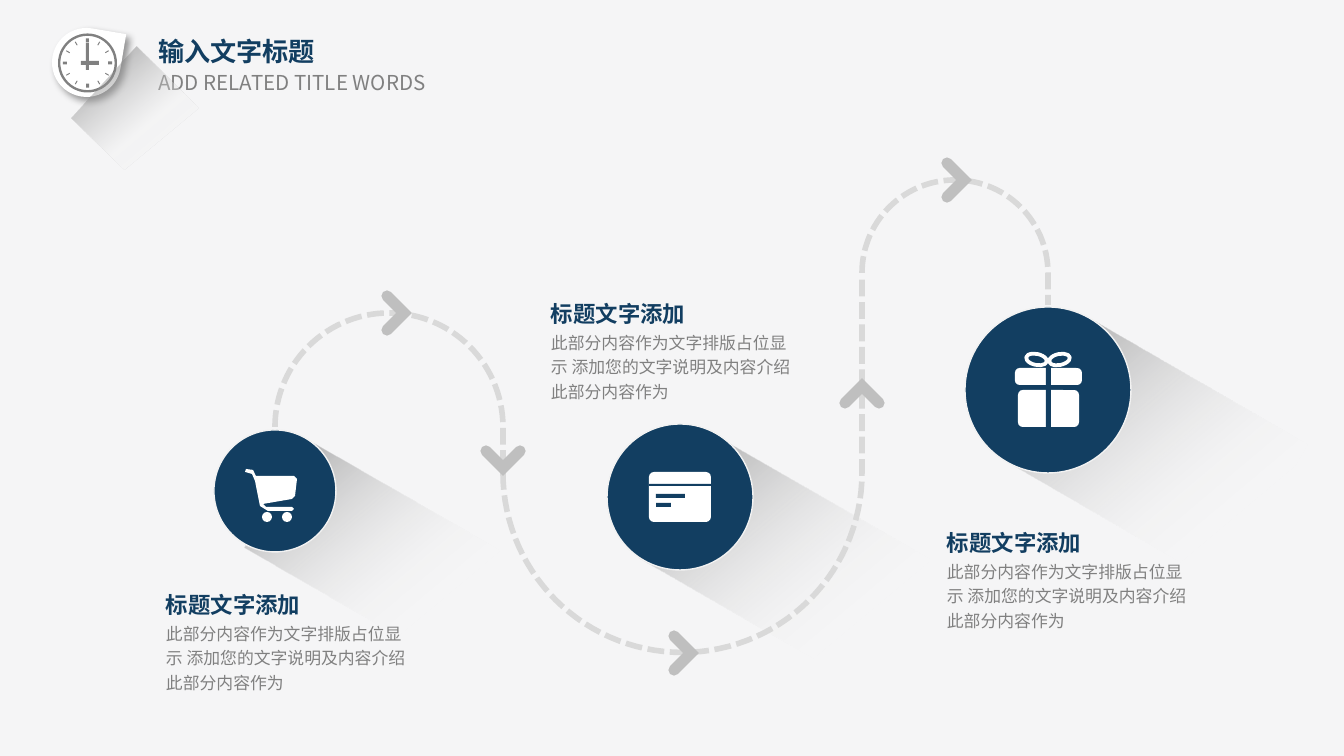
from math import cos, sin, pi, radians
from pptx import Presentation
from pptx.dml.color import RGBColor
from pptx.enum.dml import MSO_LINE
from pptx.enum.shapes import MSO_SHAPE as KIND
from pptx.enum.text import MSO_ANCHOR, MSO_AUTO_SIZE, PP_ALIGN
from pptx.oxml import parse_xml
from pptx.oxml.ns import nsdecls, qn
from pptx.util import Pt

FONT = "Noto Sans CJK SC"
NAVY, GREY, WHITE = "123E61", "808080", "FFFFFF"
HEAD = "标题文字添加"
BODY = "此部分内容作为文字排版占位显示 添加您的文字说明及内容介绍此部分内容作为"
NOTES = [(153, 579), (934, 517), (538, 288)]
BEAMS = [(261, 487, 224, 125), (659, 487, 253, 144), (1030, 370, 253, 165)]
DISCS = [(275, 491, 61), (680, 497, 73), (1048, 390, 83)]
ARCS = [(389, 427, 114, 1, 468), (955, 273, 93, 1, 305), (682.5, 473, 179.5, -1, 278)]
TIPS = [(404, 313, 0), (964, 180, 0), (691, 653, 0), (862, 386, -90), (503, 468, 90)]
CART = [(246, 469), (253, 470), (256, 476), (294, 476), (297, 479), (295, 496),
        (292, 499), (263, 504), (266, 507), (292, 507), (294, 509), (292, 511),
        (268, 511), (260, 506), (258, 496), (255, 481), (252, 474), (245, 472)]
ICONS = [
    (KIND.OVAL, (262, 512, 10, 10), WHITE, None),
    (KIND.OVAL, (282, 512, 10, 10), WHITE, None),
    (KIND.ROUNDED_RECTANGLE, (649, 472, 62, 50), WHITE, 0.1),
    (KIND.RECTANGLE, (649, 484, 62, 2), NAVY, None),
    (KIND.RECTANGLE, (656, 494, 29, 4), NAVY, None),
    (KIND.RECTANGLE, (656, 503, 15, 4), NAVY, None),
    (KIND.ROUNDED_RECTANGLE, (1015, 368, 67, 17), WHITE, 0.28),
    (KIND.ROUNDED_RECTANGLE, (1018, 390, 61, 37), WHITE, 0.13),
    (KIND.RECTANGLE, (1046, 367, 5, 61), NAVY, None),
]
BOWS = [(1026, 354, 21, 11, 12), (1049, 354, 21, 11, -12)]
CLOCK = (87.5, 63)
HANDS = [(86, 43, 3, 27), (81, 61, 18, 4)]
SHADE = [(199, 108), (125, 169), (72, 118), (137, 47)]
BEAM = [(0, "595959", 62), (75, WHITE, 0)]
FADE = [(0, "404040", 57), (61, "F2F2F2", 34), (100, "F2F2F2", 0)]

deck = Presentation()
SCALE = 9144000 / 1344


def px(*nums):
    return [round(n * SCALE) for n in nums]


def color(code):
    return RGBColor.from_string(code)


deck.slide_width, deck.slide_height = px(1344, 756)
slide = deck.slides.add_slide(deck.slide_layouts[5])
slide.background.fill.solid()
slide.background.fill.fore_color.rgb = color("F5F5F6")
shapes = slide.shapes


def paint(shape, fill=None, line=None, width=0):
    shape.shadow.inherit = False
    for part, code in ((shape.fill, fill), (shape.line.fill, line)):
        if code:
            part.solid()
            part.fore_color.rgb = color(code)
        else:
            part.background()
    if line:
        shape.line.width = Pt(width)
    return shape


def draw(kind, box, fill=None, adjust=None, turn=0, line=None, width=0):
    shape = shapes.add_shape(kind, *px(*box))
    shape.rotation = turn
    if adjust is not None:
        shape.adjustments[0] = adjust
    return paint(shape, fill, line, width)


def trace(points, closed=True, **look):
    spots = [px(*p) for p in points]
    pen = shapes.build_freeform(*spots[0], scale=1.0)
    pen.add_line_segments(spots[1:], close=closed)
    return paint(pen.convert_to_shape(), **look)


def blend(shape, stops, angle):
    marks = "".join(
        f'<a:gs pos="{pos * 1000}"><a:srgbClr val="{code}">'
        f'<a:alpha val="{alpha * 1000}"/></a:srgbClr></a:gs>'
        for pos, code, alpha in stops)
    props = shape.element.spPr
    props.replace(props.find(qn("a:noFill")), parse_xml(
        f'<a:gradFill {nsdecls("a")} rotWithShape="1"><a:gsLst>{marks}</a:gsLst>'
        f'<a:lin ang="{angle * 60000}" scaled="0"/></a:gradFill>'))


def write(shape, box, text, size, code, bold=False, pad=(13, 7),
          align=PP_ALIGN.LEFT, space=1.0):
    shape.left, shape.top, shape.width, shape.height = px(*box)
    frame = shape.text_frame
    side, edge = px(*pad)
    look = dict(word_wrap=True, auto_size=MSO_AUTO_SIZE.SHAPE_TO_FIT_TEXT,
                vertical_anchor=MSO_ANCHOR.TOP, margin_left=side,
                margin_right=side, margin_top=edge, margin_bottom=edge)
    for key, value in look.items():
        setattr(frame, key, value)
    para = frame.paragraphs[0]
    para.alignment, para.line_spacing = align, space
    run = para.add_run()
    run.text = text
    run.font.color.rgb = color(code)
    for key, value in dict(size=Pt(size), bold=bold, name=FONT).items():
        setattr(run.font, key, value)
    run.font._element.append(parse_xml(f'<a:ea {nsdecls("a")} typeface="{FONT}"/>'))


def label(box, *args, **look):
    write(shapes.add_textbox(*px(*box)), box, *args, **look)


write(shapes.title, (150, 31, 289, 39), "输入文字标题", 14, NAVY, True, (8, 4))
label((144, 63, 339, 39), "ADD RELATED TITLE WORDS", 11, GREY,
      pad=(14, 7), align=PP_ALIGN.JUSTIFY)

drop = draw(KIND.TEAR, (52, 28, 69, 69), WHITE, turn=9.5)
drop.element.spPr.find(qn("a:effectLst")).append(parse_xml(
    f'<a:outerShdw {nsdecls("a")} blurRad="{Pt(4)}" dist="{Pt(3)}" dir="2700000" '
    'algn="tl" rotWithShape="0"><a:srgbClr val="000000"><a:alpha val="40000"/>'
    '</a:srgbClr></a:outerShdw>'))
mid, high = CLOCK
draw(KIND.DONUT, (mid - 29.5, high - 29.5, 59, 59), GREY, 0.04)
for hour in range(12):
    angle = hour * 30
    wide = 3 if hour % 3 == 0 else 1
    left = mid + 22.5 * sin(radians(angle)) - wide / 2
    top = high - 22.5 * cos(radians(angle)) - 2
    draw(KIND.RECTANGLE, (left, top, wide, 4), GREY, turn=angle)
for box in HANDS:
    draw(KIND.RECTANGLE, box, GREY)

for box in BEAMS:
    blend(draw(KIND.RECTANGLE, box, turn=30), BEAM, 20)

for x, y, r, up, end in ARCS:
    curve = [(x - r * cos(pi * i / 60), y - up * r * sin(pi * i / 60))
             for i in range(61)]
    trail = trace(curve + [(x + r, end)], False, line="D9D9D9", width=3)
    trail.line.dash_style = MSO_LINE.SQUARE_DOT

for x, y, r in DISCS:
    draw(KIND.OVAL, (x - r, y - r, 2 * r, 2 * r), NAVY, line="F2F2F2", width=0.75)
trace(CART, fill=WHITE)
for kind, box, fill, adjust in ICONS:
    draw(kind, box, fill, adjust)
for *box, turn in BOWS:
    draw(KIND.OVAL, box, turn=turn, line=WHITE, width=2)

for x, y, turn in TIPS:
    c, s = cos(radians(turn)), sin(radians(turn))
    arms = [(x + a * c - b * s, y + a * s + b * c)
            for a, b in ((-17, -17), (0, 0), (-17, 17))]
    arrow = trace(arms, False, line="BFBFBF", width=6)
    stroke = arrow.line._get_or_add_ln()
    stroke.set("cap", "rnd")
    stroke.append(parse_xml(f'<a:miter {nsdecls("a")} lim="800000"/>'))

for x, y in NOTES:
    label((x, y, 247, 43), HEAD, 12, NAVY, bold=True, space=1.2)
    label((x, y + 34, 267, 85), BODY, 9, GREY, space=1.2)

blend(trace(SHADE), FADE, 50)
deck.save("out.pptx")
